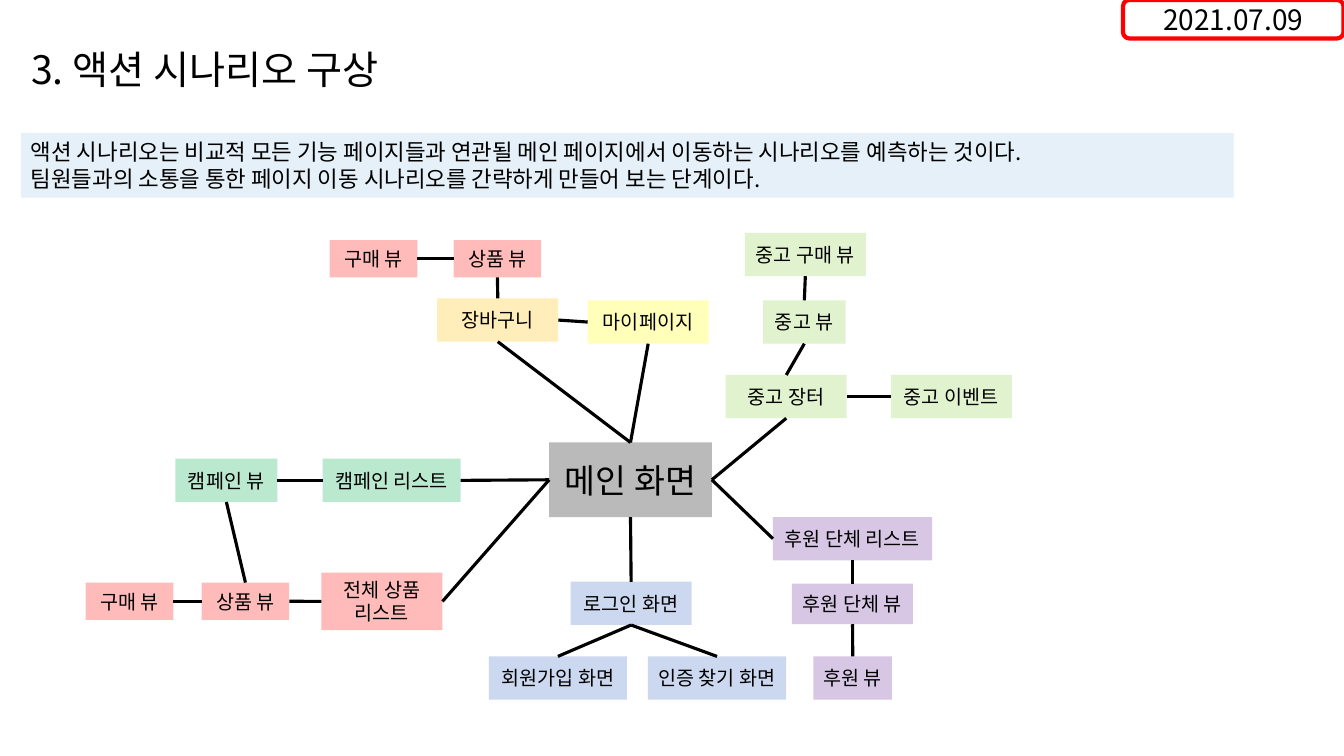
from dataclasses import dataclass

from lxml import etree
from pptx import Presentation
from pptx import util as u
from pptx.dml.color import RGBColor
from pptx.enum import shapes, text
from pptx.oxml import ns


@dataclass(frozen=True)
class Theme:
    """Colours, type sizes and line widths of the slide."""
    font: str = "Noto Sans CJK KR"
    ink: str = "000000"
    note: str = "0070C0"
    badge: str = "FF0000"
    main: str = "000000"
    login: str = "4472C4"
    product: str = "FF0000"
    cart: str = "FFC000"
    my: str = "FFFF00"
    used: str = "92D050"
    campaign: str = "00B050"
    sponsor: str = "7030A0"
    title_size: int = 28
    main_size: int = 24
    badge_size: int = 20
    note_size: int = 16
    node_size: int = 14
    note_alpha: int = 10
    node_alpha: int = 27
    badge_line: float = 3
    link_line: float = 2.25


T = Theme()
TOP, LEFT, BOTTOM, RIGHT = range(4)
STD, WIDE, SMALL = (3.05, 1.09), (3.48, 1.09), (2.21, 0.94)

NODES = {
    "main": ("메인 화면", T.main, 11.68, 5.28, (4.1, 1.88)),
    "login": ("로그인 화면", T.login, 12.22, 8.79, STD),
    "join": ("회원가입 화면", T.login, 10.16, 10.67, WIDE),
    "find": ("인증 찾기 화면", T.login, 14.17, 10.67, WIDE),
    "products": ("전체 상품\n리스트", T.product, 5.94, 8.56, (3.05, 1.45)),
    "product": ("상품 뷰", T.product, 2.92, 8.81, SMALL),
    "buy": ("구매 뷰", T.product, 0, 8.81, SMALL),
    "cart": ("장바구니", T.cart, 8.86, 1.65, STD),
    "cart_product": ("상품 뷰", T.product, 9.27, 0.18, SMALL),
    "cart_buy": ("구매 뷰", T.product, 6.15, 0.18, SMALL),
    "my": ("마이페이지", T.my, 12.65, 1.7, STD),
    "market": ("중고 장터", T.used, 16.13, 3.58, STD),
    "event": ("중고 이벤트", T.used, 20.29, 3.58, STD),
    "used": ("중고 뷰", T.used, 17.07, 1.7, (2.08, 1.09)),
    "used_buy": ("중고 구매 뷰", T.used, 16.61, 0, STD),
    "campaigns": ("캠페인 리스트", T.campaign, 5.97, 5.69, WIDE),
    "campaign": ("캠페인 뷰", T.campaign, 2.26, 5.69, (2.57, 1.09)),
    "groups": ("후원 단체 리스트", T.sponsor, 17.32, 7.16, (4.01, 1.09)),
    "group": ("후원 단체 뷰", T.sponsor, 17.8, 8.84, (3.05, 1.02)),
    "donate": ("후원 뷰", T.sponsor, 18.34, 10.67, (1.98, 1.09)),
}

LINKS = [
    ("main", BOTTOM, "login", TOP),
    ("main", LEFT, "products", RIGHT),
    ("product", RIGHT, "products", LEFT),
    ("product", LEFT, "buy", RIGHT),
    ("campaigns", RIGHT, "main", LEFT),
    ("campaign", RIGHT, "campaigns", LEFT),
    ("product", TOP, "campaign", BOTTOM),
    ("cart_product", LEFT, "cart_buy", RIGHT),
    ("cart_product", BOTTOM, "cart", TOP),
    ("main", TOP, "cart", BOTTOM),
    ("my", BOTTOM, "main", TOP),
    ("my", LEFT, "cart", RIGHT),
    ("market", BOTTOM, "main", RIGHT),
    ("event", LEFT, "market", RIGHT),
    ("used", BOTTOM, "market", TOP),
    ("groups", LEFT, "main", RIGHT),
    ("group", TOP, "groups", BOTTOM),
    ("donate", TOP, "group", BOTTOM),
    ("join", TOP, "login", BOTTOM),
    ("find", TOP, "login", BOTTOM),
    ("used", TOP, "used_buy", BOTTOM),
]


def write(sp, lines, size, align, anchor):
    """Fill a shape with one paragraph per line and return its text frame."""
    tf = sp.text_frame
    tf.word_wrap = True
    tf.vertical_anchor = anchor
    for i, line in enumerate(lines):
        p = tf.paragraphs[0] if i == 0 else tf.add_paragraph()
        p.alignment = align
        r = p.add_run()
        r.text = line
        r.font.size = u.Pt(size)
        r.font.color.rgb = RGBColor.from_string(T.ink)
        r.font.name = T.font
        etree.SubElement(r.font._element, ns.qn("a:ea"), typeface=T.font)
    return tf


def add_box(s, kind, box, fill=None, alpha=100):
    """Add a shadowless, borderless shape with an optional translucent fill."""
    sp = s.shapes.add_shape(kind, *map(u.Cm, box))
    sp.shadow.inherit = False
    sp.line.fill.background()
    if fill is None:
        sp.fill.background()
    else:
        sp.fill.solid()
        sp.fill.fore_color.rgb = RGBColor.from_string(fill)
        clr = sp._element.spPr.find(ns.qn("a:solidFill"))[0]
        etree.SubElement(clr, ns.qn("a:alpha"), val=str(alpha * 1000))
    return sp


def add_title(s, box, title):
    """Place and format the title placeholder."""
    sp = s.shapes.title
    sp.left, sp.top, sp.width, sp.height = map(u.Cm, box)
    tf = write(sp, [title], T.title_size, text.PP_ALIGN.LEFT, text.MSO_ANCHOR.BOTTOM)
    tf.auto_size = text.MSO_AUTO_SIZE.NONE
    tf.paragraphs[0].line_spacing = 1.2


def add_note(s, box, lines):
    """Add the tinted band with the introduction."""
    sp = add_box(s, shapes.MSO_SHAPE.RECTANGLE, box, T.note, T.note_alpha)
    write(sp, lines, T.note_size, text.PP_ALIGN.LEFT, text.MSO_ANCHOR.TOP)


def add_badge(s, box, date):
    """Add the outlined date badge."""
    sp = add_box(s, shapes.MSO_SHAPE.ROUNDED_RECTANGLE, box)
    sp.line.color.rgb = RGBColor.from_string(T.badge)
    sp.line.width = u.Pt(T.badge_line)
    write(sp, [date], T.badge_size, text.PP_ALIGN.CENTER, text.MSO_ANCHOR.MIDDLE)


def add_link(s, start, start_side, end, end_side):
    """Join two nodes with a straight line."""
    c = s.shapes.add_connector(shapes.MSO_CONNECTOR.STRAIGHT, 0, 0, 0, 0)
    c.begin_connect(start, start_side)
    c.end_connect(end, end_side)
    c.line.color.rgb = RGBColor.from_string(T.ink)
    c.line.width = u.Pt(T.link_line)
    etree.SubElement(c._element.spPr, ns.qn("a:effectLst"))


def add_map(s, box):
    """Draw the page map with its nodes placed from the corner of the box."""
    left, top = box
    placed = {}
    for key, (label, fill, x, y, size) in NODES.items():
        sp = add_box(s, shapes.MSO_SHAPE.RECTANGLE, (left + x, top + y, *size),
                     fill, T.node_alpha)
        write(sp, label.split("\n"), T.main_size if key == "main" else T.node_size,
              text.PP_ALIGN.CENTER, text.MSO_ANCHOR.MIDDLE)
        placed[key] = sp
    for start, start_side, end, end_side in LINKS:
        add_link(s, placed[start], start_side, placed[end], end_side)


def main():
    """Build and save the slide."""
    prs = Presentation()
    prs.slide_width, prs.slide_height = u.Cm(33.87), u.Cm(19.05)
    s = prs.slides.add_slide(prs.slide_layouts[5])
    add_title(s, (0.53, 0.66, 22.63, 1.8), "3. 액션 시나리오 구상")
    add_note(s, (0.53, 3.35, 30.56, 1.63), [
        "액션 시나리오는 비교적 모든 기능 페이지들과 연관될 메인 페이지에서 이동하는 시나리오를 예측하는 것이다.",
        "팀원들과의 소통을 통한 페이지 이동 시나리오를 간략하게 만들어 보는 단계이다.",
    ])
    add_badge(s, (28.3, 0, 5.56, 0.97), "2021.07.09")
    add_map(s, (2.16, 5.87))
    prs.save("out.pptx")


if __name__ == "__main__":
    main()
